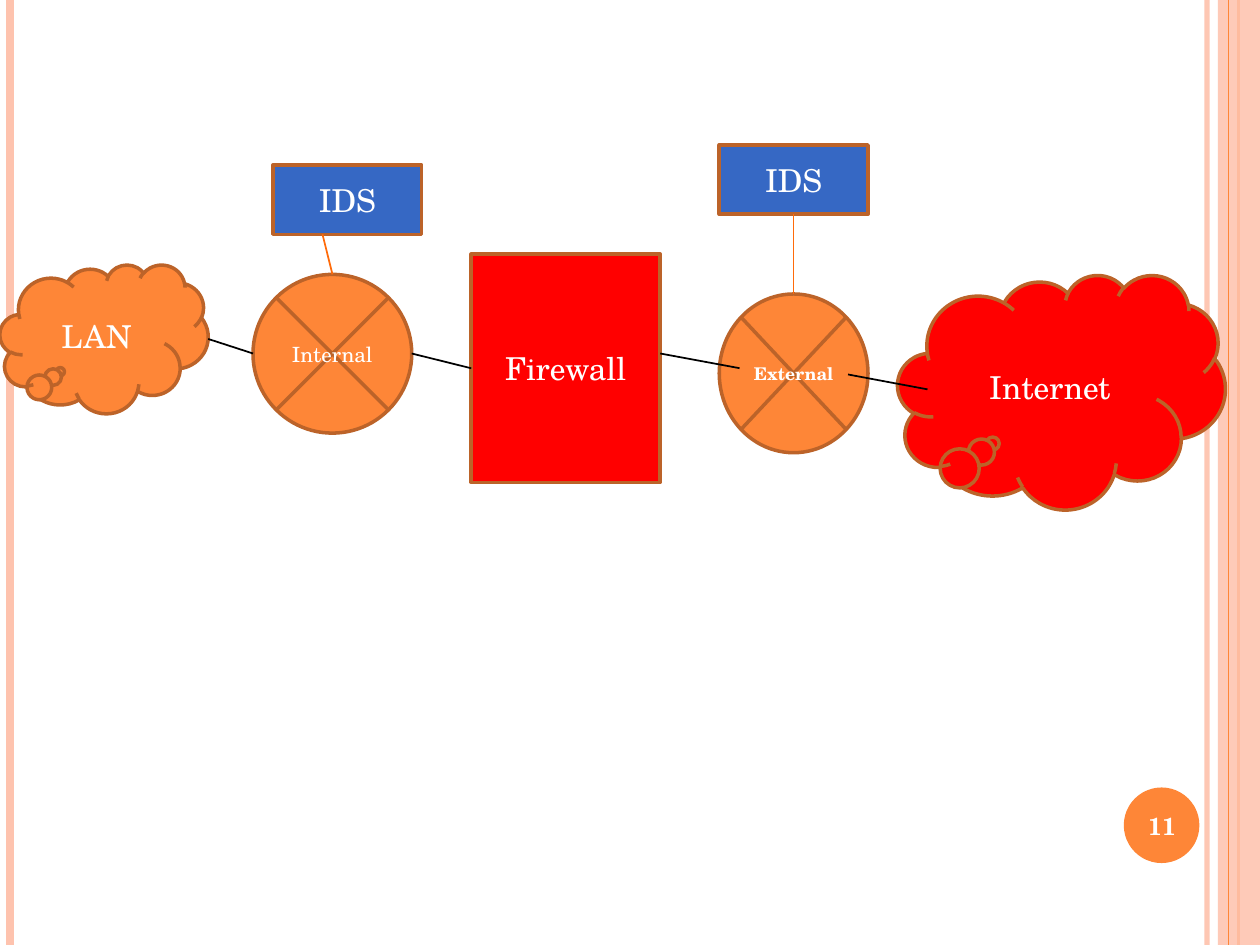
from lxml.etree import SubElement
from pptx import Presentation
from pptx.dml.color import RGBColor
from pptx.enum.shapes import MSO_CONNECTOR, MSO_SHAPE
from pptx.enum.text import MSO_ANCHOR, PP_ALIGN
from pptx.oxml.ns import qn
from pptx.util import Pt

COLORS = {
    "blush": "FEC3AE",
    "orange": "FE8637",
    "rust": "BC6329",
    "red": "FF0000",
    "blue": "3668C4",
    "tap": "FF6B0A",
    "black": "000000",
    "white": "FFFFFF",
}
FONT = "TeX Gyre Schola"
WIDTH, HEIGHT = 720, 540


def rgb(color):
    return RGBColor.from_string(COLORS[color])


def set_opacity(element, percent):
    color = next(element.iter(qn("a:srgbClr")))
    SubElement(color, qn("a:alpha")).set("val", str(percent * 1000))


def write_label(frame, label, size, bold=False):
    frame.word_wrap = False
    frame.vertical_anchor = MSO_ANCHOR.MIDDLE
    paragraph = frame.paragraphs[0]
    paragraph.alignment = PP_ALIGN.CENTER
    run = paragraph.add_run()
    run.text = label
    run.font.name = FONT
    run.font.size = Pt(size)
    run.font.bold = bold
    run.font.color.rgb = rgb("white")


def add_plain(slide, preset, box, fill):
    shape = slide.shapes.add_shape(preset, *map(Pt, box))
    shape.shadow.inherit = False
    shape.fill.solid()
    shape.fill.fore_color.rgb = rgb(fill)
    shape.line.fill.background()
    return shape


def add_node(slide, preset, box, fill, label, size=18, bold=False):
    node = add_plain(slide, preset, box, fill)
    node.line.color.rgb = rgb("rust")
    node.line.width = Pt(2)
    write_label(node.text_frame, label, size, bold)
    return node


def add_cloud(slide, box, fill, label):
    cloud = add_node(slide, MSO_SHAPE.CLOUD_CALLOUT, box, fill, label)
    cloud.adjustments[0] = -0.21
    cloud.adjustments[1] = 0.22


def add_line(slide, start, end, color, width=1):
    line = slide.shapes.add_connector(
        MSO_CONNECTOR.STRAIGHT, *map(Pt, (*start, *end)))
    line.line.color.rgb = rgb(color)
    line.line.width = Pt(width)
    SubElement(line._element.spPr, qn("a:effectLst"))
    return line


def add_stripe(slide, x, color, width):
    return add_line(slide, (x, 0), (x, HEIGHT), color, width)


def add_frame(slide):
    inner_stripe = add_stripe(slide, 689.8, "blush", 3)
    set_opacity(inner_stripe._element, 93)
    add_stripe(slide, 5.8, "blush", 4.5)
    add_stripe(slide, 707.8, "orange", 1.5)
    band = add_plain(slide, MSO_SHAPE.RECTANGLE, (696, 0, 24, HEIGHT), "blush")
    set_opacity(band._element, 87)
    add_stripe(slide, 702, "orange", 0.75)
    add_plain(slide, MSO_SHAPE.OVAL, (642.2, 450, 43.2, 43.2), "orange")


def add_network(slide):
    firewall = add_node(slide, MSO_SHAPE.RECTANGLE,
                        (269.3, 145.2, 108, 130.5), "red", "Firewall")
    junction = MSO_SHAPE.FLOWCHART_SUMMING_JUNCTION
    add_node(slide, junction, (144.6, 156.8, 90.7, 90.7), "orange", "Internal", 12)
    add_node(slide, junction, (411, 168, 85, 90.7), "orange", "External", 10, True)
    external_ids, _ = [
        add_node(slide, MSO_SHAPE.RECTANGLE, (x, y, 85, 39.6), "blue", "IDS")
        for x, y in ((411, 82.8), (156, 94.3))
    ]
    add_cloud(slide, (0, 151.2, 119, 85), "orange", "LAN")
    add_cloud(slide, (513, 157, 187.2, 134), "red", "Internet")

    add_line(slide, (119, 193.7), (144.6, 202), "black")
    internal_link = add_line(slide, (235.3, 202), (269.3, 210.4), "black")
    internal_link.end_connect(firewall, 1)
    add_line(slide, (377.3, 202), (422.6, 210.4), "black")
    add_line(slide, (484.6, 214), (530, 222.5), "black")
    add_line(slide, (184.3, 133.9), (190, 156.8), "tap")
    external_tap = add_line(slide, (453.5, 122.4), (453.5, 168), "tap")
    external_tap.begin_connect(external_ids, 2)


def add_page_number(slide):
    number = slide.shapes.add_textbox(*map(Pt, (640, 451.4, 48.2, 41)))
    write_label(number.text_frame, "11", 14, True)


def main():
    deck = Presentation()
    deck.slide_width, deck.slide_height = Pt(WIDTH), Pt(HEIGHT)
    slide = deck.slides.add_slide(deck.slide_layouts[6])
    add_frame(slide)
    add_network(slide)
    add_page_number(slide)
    deck.save("out.pptx")


if __name__ == "__main__":
    main()
